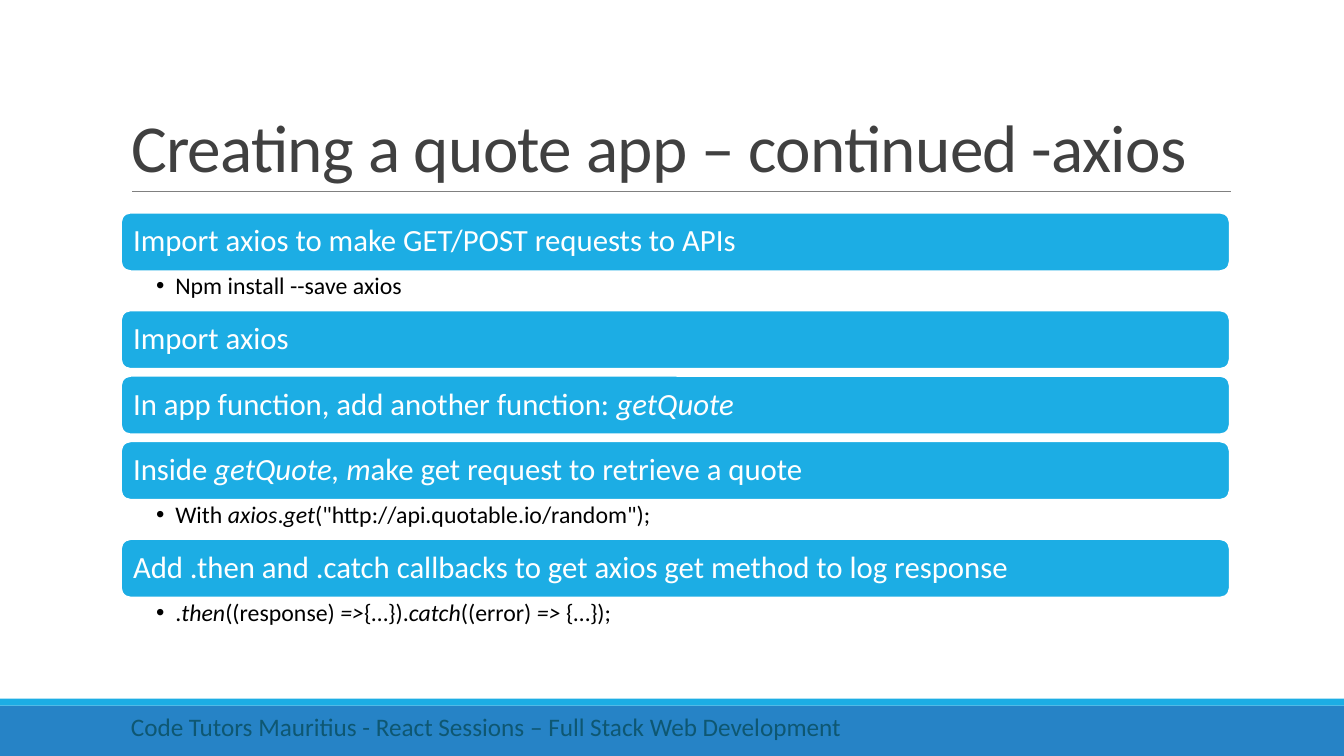
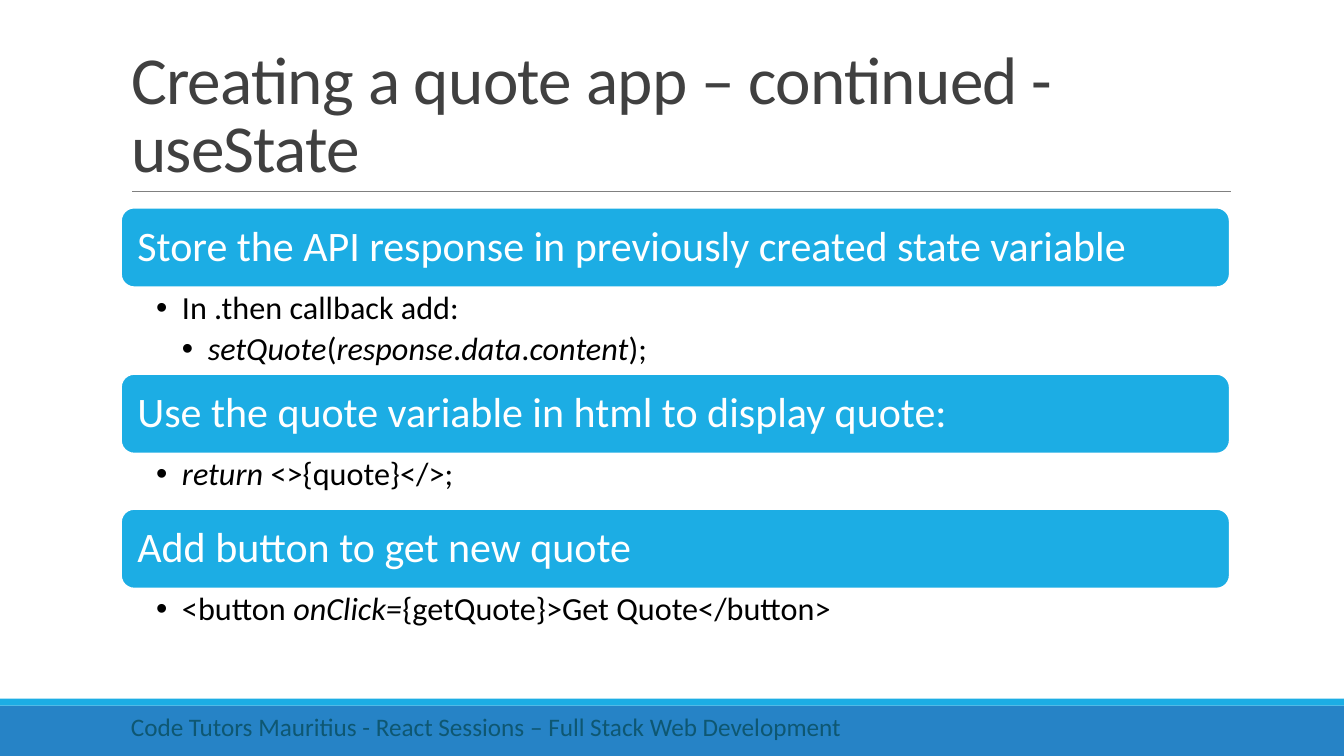
import dataclasses

import lxml.etree
import pptx
import pptx.dml.color
import pptx.enum.shapes
import pptx.enum.text
import pptx.oxml.ns
import pptx.util

Pt = pptx.util.Pt
SHAPE = pptx.enum.shapes.MSO_SHAPE
ANCHOR = pptx.enum.text.MSO_ANCHOR
ALIGN = pptx.enum.text.PP_ALIGN
qn = pptx.oxml.ns.qn


@dataclasses.dataclass(frozen=True)
class Theme:
    font: str = "Calibri"
    title: str = "404040"
    accent: str = "1CADE4"
    band: str = "2683C6"
    rule: str = "808080"
    footer: str = "0E5772"
    light: str = "FFFFFF"
    dark: str = "000000"
    title_size: int = 48
    footer_size: int = 18


theme = Theme()
rgb = pptx.dml.color.RGBColor.from_string

# Positions and sizes are percentages of the slide's width and height.
deck = pptx.Presentation()
deck.slide_width = pptx.util.Inches(13.333)
deck.slide_height = pptx.util.Inches(7.5)
LEFT, WIDTH = 9, 82.5
BANDS = [(93.33, 6.67, theme.band), (92.4, 0.93, theme.accent)]
FOOTER = "Code Tutors Mauritius - React Sessions – Full Stack Web Development"


def area(left, top, width, height):
    """Turn percentages of the slide into lengths."""
    across, down = deck.slide_width / 100, deck.slide_height / 100
    return [round(length) for length in
            (left * across, top * down, width * across, height * down)]


def write(para, text, size, color):
    """Add text to a paragraph; parts between asterisks are italic."""
    for number, part in enumerate(text.split("*")):
        if part:
            span = para.add_run()
            span.text = part
            span.font.name = theme.font
            span.font.size = Pt(size)
            span.font.color.rgb = rgb(color)
            span.font.italic = number % 2 == 1


# Each step: bar text, height of the space below it, bullets as (level, text).
PAGES = [
    dict(
        title="Creating a quote app – continued -axios",
        top=28.13, bar=7.73, bar_size=22, bullet_size=17,
        steps=[
            ("Import axios to make GET/POST requests to APIs", 5.2,
             [(1, "Npm install --save axios")]),
            ("Import axios", 0.93, []),
            ("In app function, add another function: *getQuote*", 0.93, []),
            ("Inside *getQuote, m*ake get request to retrieve a quote", 5.2,
             [(1, 'With *axios*.*get*("http://api.quotable.io/random");')]),
            ("Add .then and .catch callbacks to get axios get method to log response", 5.2,
             [(1, ".*then*((response) *=>*{…}).*catch*((error) *=>* {…});")]),
        ],
    ),
    dict(
        title="Creating a quote app – continued - useState",
        top=27.47, bar=10.53, bar_size=30, bullet_size=23,
        steps=[
            ("Store the API response in previously created state variable", 11.47,
             [(1, "In .then callback add:"),
              (2, "*setQuote*(*response*.*data*.*content*);")]),
            ("Use the quote variable in html to display quote:", 7.33,
             [(1, "*return* <>{quote}</>;")]),
            ("Add button to get new quote", 7.33,
             [(1, "<button *onClick=*{getQuote}>Get Quote</button>")]),
        ],
    ),
]

for content in PAGES:
    page = deck.slides.add_slide(deck.slide_layouts[5])

    for top, height, color in BANDS:
        band = page.shapes.add_shape(SHAPE.RECTANGLE, *area(0, top, 100, height))
        band.shadow.inherit = False
        band.fill.solid()
        band.fill.fore_color.rgb = rgb(color)
        band.line.fill.background()

    start_x, rule_y, end_x, _ = area(9.83, 25.33, 91.6, 0)
    rule = page.shapes.add_connector(
        pptx.enum.shapes.MSO_CONNECTOR.STRAIGHT, start_x, rule_y, end_x, rule_y)
    rule.line.color.rgb = rgb(theme.rule)
    rule.line.width = Pt(0.5)
    lxml.etree.SubElement(rule._element.spPr, qn("a:effectLst"))

    title = page.shapes.title
    title.left, title.top, title.width, title.height = area(LEFT, 4.13, WIDTH, 21.2)
    title.text_frame.auto_size = pptx.enum.text.MSO_AUTO_SIZE.NONE
    title.text_frame.vertical_anchor = ANCHOR.BOTTOM
    para = title.text_frame.paragraphs[0]
    para.alignment = ALIGN.LEFT
    para.line_spacing = 0.85
    write(para, content["title"], theme.title_size, theme.title)
    para.runs[0].font._element.set("spc", "-50")

    top = content["top"]
    bar_size, bullet_size = content["bar_size"], content["bullet_size"]
    for heading, space, bullets in content["steps"]:
        bar = page.shapes.add_shape(
            SHAPE.ROUNDED_RECTANGLE, *area(LEFT, top, WIDTH, content["bar"]))
        bar.shadow.inherit = False
        bar.fill.solid()
        bar.fill.fore_color.rgb = rgb(theme.accent)
        bar.line.color.rgb = rgb(theme.light)
        bar.line.width = Pt(1.25)
        frame = bar.text_frame
        frame.vertical_anchor = ANCHOR.MIDDLE
        frame.margin_left = frame.margin_right = Pt(0.3 * bar_size)
        frame.margin_top = frame.margin_bottom = Pt(0.3 * bar_size)
        para = frame.paragraphs[0]
        para.alignment = ALIGN.LEFT
        para.line_spacing = 0.9
        write(para, heading, bar_size, theme.light)
        top += content["bar"]

        if bullets:
            box = page.shapes.add_textbox(*area(LEFT, top, WIDTH, space))
            frame = box.text_frame
            frame.word_wrap = True
            frame.margin_left = pptx.util.Inches(0.35)
            frame.margin_top = frame.margin_bottom = Pt(0.13 * bullet_size)
            indent = Pt(0.8 * bullet_size)
            for number, (level, text) in enumerate(bullets):
                para = frame.add_paragraph() if number else frame.paragraphs[0]
                para.level = level
                para.line_spacing = 0.9
                para.space_after = Pt(0.2 * bullet_size)
                properties = para._p.get_or_add_pPr()
                properties.set("marL", str(level * indent))
                properties.set("indent", str(-indent))
                lxml.etree.SubElement(properties, qn("a:buFont"), typeface="Arial")
                lxml.etree.SubElement(properties, qn("a:buChar"), char="•")
                write(para, text, bullet_size, theme.dark)
        top += space

    footer = page.shapes.add_textbox(*area(LEFT, 93.47, 58.35, 5.33))
    footer.text_frame.word_wrap = True
    write(footer.text_frame.paragraphs[0], FOOTER, theme.footer_size, theme.footer)

deck.save("out.pptx")
